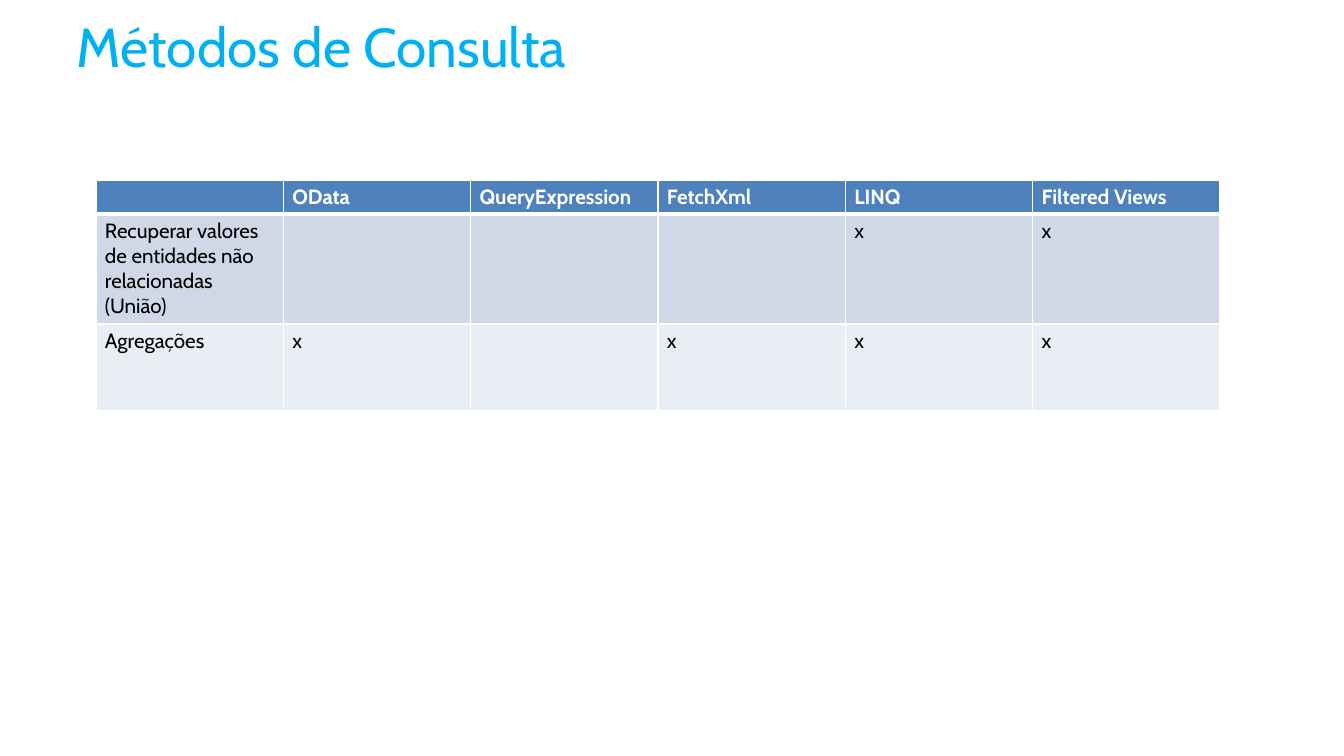
from lxml.etree import SubElement
from pptx import Presentation
from pptx.dml.color import RGBColor
from pptx.enum.text import MSO_ANCHOR as Anchor
from pptx.oxml.ns import qn
from pptx.util import Pt

SCALE = 9255
COLORS = {
    "title": "00B0F0",
    "header": "4F81BD",
    "odd_row": "D0D8E8",
    "even_row": "E9EDF4",
    "text": "000000",
    "white": "FFFFFF",
}
HEADINGS = ["", "OData", "QueryExpression", "FetchXml", "LINQ", "Filtered Views"]
CAPABILITIES = [
    ("Recuperar valores de entidades não relacionadas (União)", {"LINQ", "Filtered Views"}),
    ("Agregações", {"OData", "FetchXml", "LINQ", "Filtered Views"}),
]
ROW_HEIGHTS = [34, 110, 87]


def px(length):
    return round(length * SCALE)


class SlideBuilder:
    """Holds the style and the current slide, and adds elements to it."""

    font_name = "Cabin"

    def __init__(self, slide):
        self.slide = slide

    def add_run(self, paragraph, text, size, color, bold=False):
        run = paragraph.add_run()
        run.text = text
        run.font.name = self.font_name
        run.font.size = Pt(size)
        run.font.bold = bold
        run.font.color.rgb = RGBColor.from_string(COLORS[color])

    def add_title(self, text, left, top, width, height):
        shape = self.slide.shapes.add_textbox(px(left), px(top), px(width), px(height))
        frame = shape.text_frame
        frame.word_wrap = True
        frame.vertical_anchor = Anchor.MIDDLE
        self.add_run(frame.paragraphs[0], text, 40, "title")

    def add_borders(self, cell, bottom_width):
        properties = cell._tc.get_or_add_tcPr()
        widths = {"a:lnL": 1, "a:lnR": 1, "a:lnT": 1, "a:lnB": bottom_width}
        for position, (tag, width) in enumerate(widths.items()):
            line = properties.makeelement(qn(tag), {"w": str(Pt(width))})
            properties.insert(position, line)
            fill = SubElement(line, qn("a:solidFill"))
            SubElement(fill, qn("a:srgbClr"), val=COLORS["white"])

    def fill_cell(self, cell, text, fill, is_header):
        cell.margin_left = cell.margin_right = px(9)
        cell.margin_top, cell.margin_bottom = px(5), px(4)
        cell.fill.solid()
        cell.fill.fore_color.rgb = RGBColor.from_string(COLORS[fill])
        self.add_borders(cell, 3 if is_header else 1)
        paragraph = cell.text_frame.paragraphs[0]
        if text:
            self.add_run(paragraph, text, 15, "white" if is_header else "text", is_header)
        else:
            end = SubElement(paragraph._p, qn("a:endParaRPr"), sz="1500")
            SubElement(end, qn("a:latin"), typeface=self.font_name)

    def add_table(self, rows, left, top, width, row_heights):
        column_count = len(rows[0])
        frame = self.slide.shapes.add_table(
            len(rows), column_count, px(left), px(top), px(width), px(sum(row_heights))
        )
        table = frame.table
        for column in table.columns:
            column.width = px(width / column_count)
        for row_index, (texts, height) in enumerate(zip(rows, row_heights)):
            table.rows[row_index].height = px(height)
            is_header = row_index == 0
            band = "odd_row" if row_index % 2 else "even_row"
            for column_index, text in enumerate(texts):
                cell = table.cell(row_index, column_index)
                self.fill_cell(cell, text, "header" if is_header else band, is_header)


def main():
    presentation = Presentation()
    presentation.slide_width = px(1344)
    presentation.slide_height = px(756)
    builder = SlideBuilder(presentation.slides.add_slide(presentation.slide_layouts[6]))
    builder.add_title("Métodos de Consulta", 67, 0, 1209, 91)
    rows = [HEADINGS] + [
        [name] + ["x" if method in supported else "" for method in HEADINGS[1:]]
        for name, supported in CAPABILITIES
    ]
    builder.add_table(rows, 96, 180, 1124, ROW_HEIGHTS)
    presentation.save("out.pptx")


if __name__ == "__main__":
    main()
